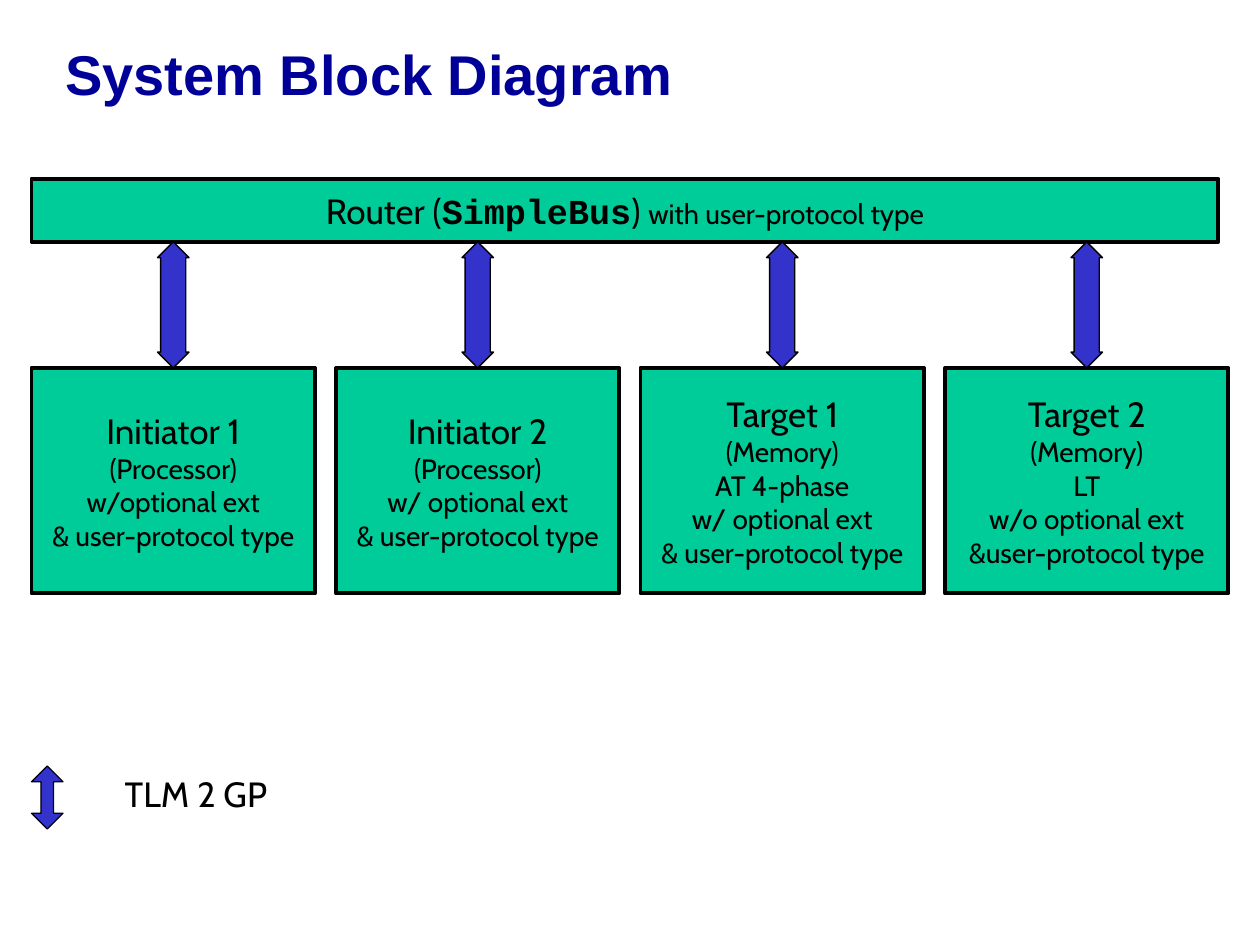
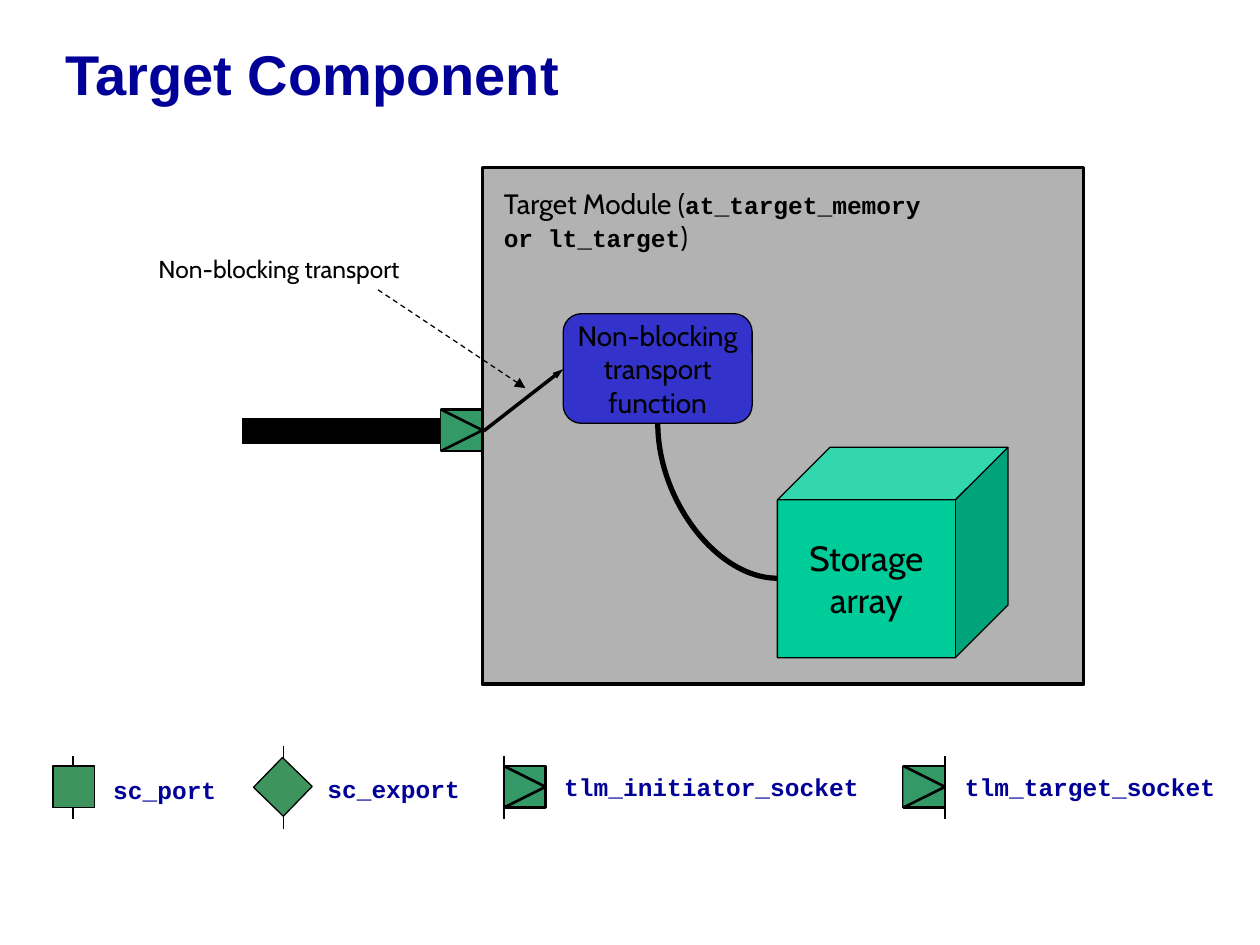
from typing import NamedTuple

from lxml import etree
from pptx import Presentation
from pptx.dml.color import RGBColor
from pptx.enum.dml import MSO_LINE
from pptx.enum.shapes import MSO_CONNECTOR, MSO_SHAPE
from pptx.enum.text import MSO_ANCHOR, MSO_AUTO_SIZE, PP_ALIGN
from pptx.oxml.ns import qn
from pptx.util import Inches, Pt

BLACK = RGBColor(0x00, 0x00, 0x00)
NAVY = RGBColor(0x00, 0x00, 0x99)
BLUE = RGBColor(0x33, 0x33, 0xCC)
MINT = RGBColor(0x00, 0xCC, 0x99)
GREEN = RGBColor(0x33, 0x99, 0x66)
MOSS = RGBColor(0x3E, 0x94, 0x5D)
GREY = RGBColor(0xB2, 0xB2, 0xB2)

RECT = MSO_SHAPE.RECTANGLE
ROUND = MSO_SHAPE.ROUNDED_RECTANGLE
CUBE = MSO_SHAPE.CUBE
ARROW = MSO_SHAPE.UP_DOWN_ARROW
STRAIGHT = MSO_CONNECTOR.STRAIGHT
CURVE = MSO_CONNECTOR.CURVE
DASH = MSO_LINE.DASH
MIDDLE = MSO_ANCHOR.MIDDLE
GROW = MSO_AUTO_SIZE.SHAPE_TO_FIT_TEXT
LEFT, CENTER = PP_ALIGN.LEFT, PP_ALIGN.CENTER

SIDE = 0.33  # width of a port or socket symbol


class Style(NamedTuple):
    size: float
    face: str = "Cabin"
    bold: bool = False
    color: RGBColor = BLACK


class Run(NamedTuple):
    text: str
    style: Style


class Area(NamedTuple):
    x: float
    y: float
    w: float
    h: float


class Block(NamedTuple):
    name: str
    notes: tuple[str, ...]


class Key(NamedTuple):
    text: str
    area: Area


TITLE = Style(32, "Arial", True, NAVY)
LARGE, BODY, SMALL = Style(20), Style(16), Style(14)
CODE = Style(14, "Courier New", True)
LABEL = CODE._replace(color=NAVY)

BLOCKS = [
    Block("Initiator 1", ("(Processor)", "w/optional ext", "& user-protocol type")),
    Block("Initiator 2", ("(Processor)", "w/ optional ext", "& user-protocol type")),
    Block("Target 1", ("(Memory)", "AT 4-phase", "w/ optional ext", "& user-protocol type")),
    Block("Target 2", ("(Memory)", "LT", "w/o optional ext", "&user-protocol type")),
]
KEYS = [
    Key("sc_port", Area(0.8, 6.1, 1.02, 0.34)),
    Key("sc_export", Area(2.5, 6.09, 1.25, 0.34)),
    Key("tlm_initiator_socket", Area(4.38, 6.08, 2.54, 0.34)),
    Key("tlm_target_socket", Area(7.56, 6.08, 2.19, 0.34)),
]


def set_font(font, style: Style) -> None:
    font.size = Pt(style.size)
    font.name = style.face
    font.bold = style.bold
    font.color.rgb = style.color


def write(frame, lines: list[list[Run]], align=CENTER) -> None:
    """Fill a text frame, one list of runs per paragraph."""
    for i, runs in enumerate(lines):
        para = frame.paragraphs[0] if i == 0 else frame.add_paragraph()
        para.alignment = align
        shared = len({run.style for run in runs}) == 1
        if shared:
            set_font(para.font, runs[0].style)
        for item in runs:
            run = para.add_run()
            run.text = item.text
            if not shared:
                set_font(run.font, item.style)


def add_text(slide, area: Area, runs: list[Run], align=LEFT, wrap: bool = False):
    frame = slide.shapes.add_textbox(*map(Inches, area)).text_frame
    frame.word_wrap = wrap
    frame.auto_size = GROW
    write(frame, [runs], align)
    return frame


def paint(shape, fill: RGBColor, width: float) -> None:
    shape.shadow.inherit = False
    shape.fill.solid()
    shape.fill.fore_color.rgb = fill
    shape.line.color.rgb = BLACK
    shape.line.width = Pt(width)


def add_box(slide, kind, area: Area, fill: RGBColor, width: float = 0.75,
            lines: list[list[Run]] | None = None):
    shape = slide.shapes.add_shape(kind, *map(Inches, area))
    paint(shape, fill, width)
    if lines:
        shape.text_frame.word_wrap = False
        shape.text_frame.vertical_anchor = MIDDLE
        write(shape.text_frame, lines)
    return shape


def add_line(slide, x1: float, y1: float, x2: float, y2: float,
             width: float = 0.75, kind=STRAIGHT, tip: str = ""):
    """Draw a line; tip is the width of the arrowhead at its end."""
    line = slide.shapes.add_connector(kind, *map(Inches, (x1, y1, x2, y2)))
    line.line.color.rgb = BLACK
    line.line.width = Pt(width)
    props = line._element.spPr
    if tip:
        etree.SubElement(props.find(qn("a:ln")), qn("a:tailEnd"),
                         type="triangle", w=tip, len="med")
    etree.SubElement(props, qn("a:effectLst"))
    return line


def add_arrow(slide, x: float, y: float, height: float) -> None:
    arrow = add_box(slide, ARROW, Area(x, y, 0.25, height), BLUE)
    arrow.adjustments[0] = 0.5
    arrow.adjustments[1] = 0.8 * height


def add_socket(slide, x: float, y: float) -> None:
    """Draw a square with a wedge that points right."""
    add_box(slide, RECT, Area(x, y, SIDE, SIDE), GREEN, 1.5)
    pen = slide.shapes.build_freeform(Inches(x), Inches(y))
    pen.add_line_segments([(Inches(x + SIDE), Inches(y + SIDE / 2)),
                           (Inches(x), Inches(y + SIDE))], close=False)
    paint(pen.convert_to_shape(), GREEN, 1.5)


def add_slide(deck, title: str):
    slide = deck.slides.add_slide(deck.slide_layouts[6])
    frame = add_text(slide, Area(0.42, 0, 9.5, 1.25), [Run(title, TITLE)], wrap=True)
    frame.auto_size = MSO_AUTO_SIZE.NONE
    frame.vertical_anchor = MIDDLE
    frame.paragraphs[0].line_spacing = 0.85
    return slide


def draw_system(deck) -> None:
    slide = add_slide(deck, "System Block Diagram")

    # Router bar
    bus = [Run("Router (", LARGE), Run("SimpleBus", CODE._replace(size=20)),
           Run(") ", LARGE), Run("with user-protocol type", BODY)]
    add_box(slide, RECT, Area(0.25, 1.42, 9.42, 0.5), MINT, 2.25, [bus])

    # Blocks, each joined to the router
    step = 7.25 / 3
    for i, block in enumerate(BLOCKS):
        x = 0.25 + i * step
        lines = [[Run(block.name, LARGE)]] + [[Run(note, BODY)] for note in block.notes]
        add_box(slide, RECT, Area(x, 2.92, 2.25, 1.79), MINT, 2.25, lines)
        add_arrow(slide, x + 1, 1.92, 1)

    # Legend
    add_arrow(slide, 0.25, 6.08, 0.5)
    add_text(slide, Area(0.84, 6.08, 1.43, 0.44), [Run("TLM 2 GP", LARGE)], CENTER)


def draw_module(slide) -> None:
    # Module frame and its name
    add_box(slide, RECT, Area(3.83, 1.33, 4.77, 4.1), GREY, 2.25)
    name = [Run("Target Module (", BODY), Run("at_target_memory or lt_target", CODE),
            Run(")", BODY)]
    add_text(slide, Area(3.9, 1.43, 3.74, 0.64), name, wrap=True)

    # Storage and transport function
    add_box(slide, CUBE, Area(6.17, 3.55, 1.83, 1.67), MINT,
            lines=[[Run(word, LARGE)] for word in ("Storage", "array")])
    add_box(slide, ROUND, Area(4.47, 2.49, 1.5, 0.87), BLUE,
            lines=[[Run(word, BODY)] for word in ("Non-blocking", "transport", "function")])

    # Quarter curve, turned so that it leaves downwards
    curve = add_line(slide, 6.31, 3.5, 5.08, 4.45, 3, CURVE)
    curve._element.spPr.find(qn("a:prstGeom")).set("prst", "curvedConnector2")
    curve._element.spPr.find(qn("a:xfrm")).set("rot", str(270 * 60000))

    # Bus, socket and call
    add_line(slide, 3.84, 3.42, 1.92, 3.42, 15)
    add_line(slide, 3.84, 3.42, 4.47, 2.93, 2, tip="sm")
    add_socket(slide, 3.5, 3.25)
    add_line(slide, 3, 2.3, 4.17, 3.08, tip="med").line.dash_style = DASH
    add_text(slide, Area(1.16, 1.97, 2.34, 0.34), [Run("Non-blocking transport", SMALL)])


def draw_legend(slide) -> None:
    # Port and export
    add_line(slide, 0.58, 6, 0.58, 6.5)
    add_box(slide, RECT, Area(0.42, 6.08, SIDE, SIDE), MOSS)
    add_line(slide, 2.25, 5.92, 2.25, 6.58)
    add_box(slide, RECT, Area(2.08, 6.08, SIDE, SIDE), MOSS).rotation = 44.1

    # Sockets, with the module edge on the left or right
    for x, edge in ((4, 4), (7.17, 7.5)):
        add_socket(slide, x, 6.08)
        add_line(slide, edge, 6, edge, 6.5)

    for key in KEYS:
        add_text(slide, key.area, [Run(key.text, LABEL)])


def main() -> None:
    deck = Presentation()
    deck.slide_width, deck.slide_height = Inches(10), Inches(7.5)
    draw_system(deck)
    target = add_slide(deck, "Target Component")
    draw_module(target)
    draw_legend(target)
    deck.save("out.pptx")


if __name__ == "__main__":
    main()
